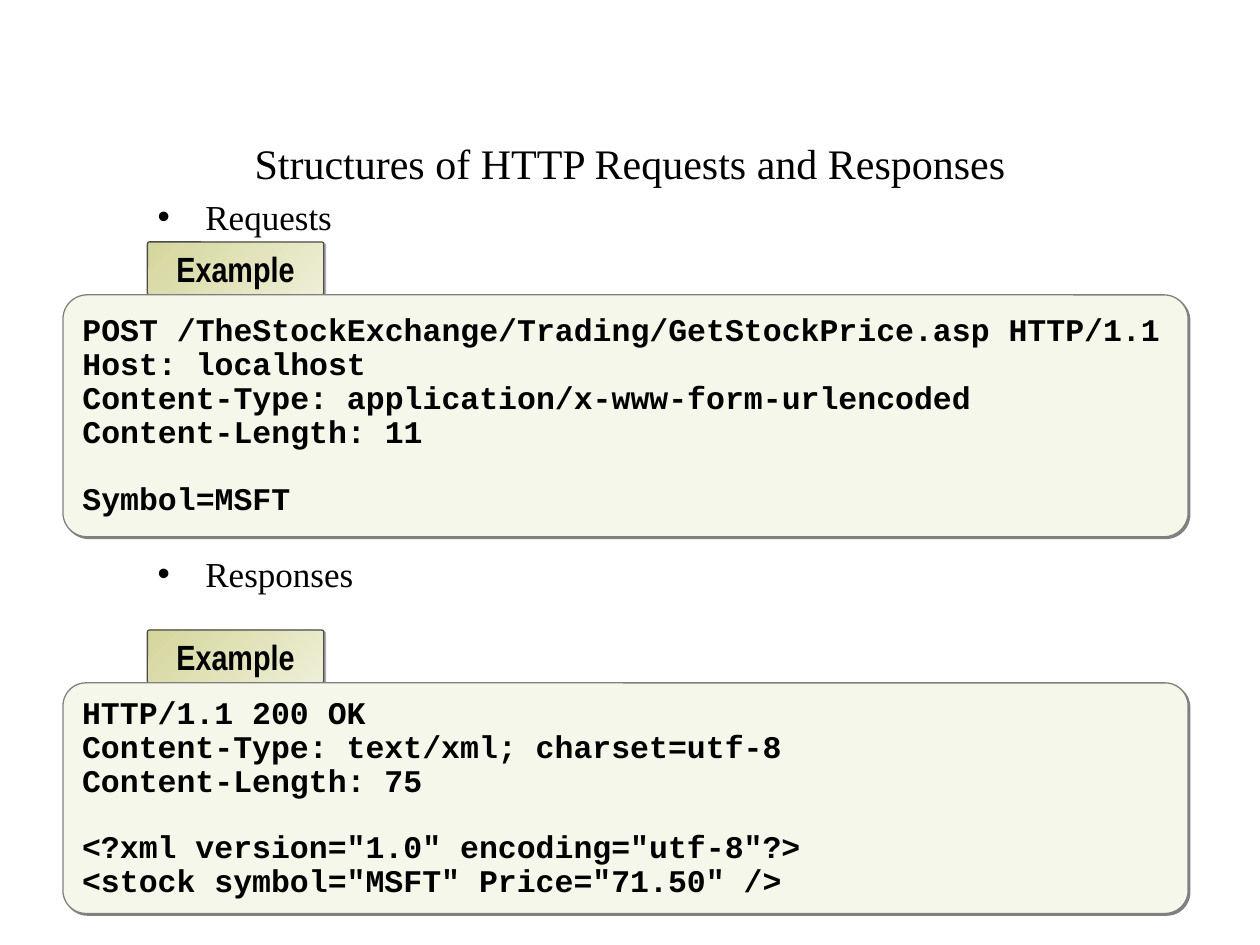
from lxml.etree import SubElement
from pptx import Presentation
from pptx.dml.color import RGBColor
from pptx.enum.shapes import MSO_SHAPE
from pptx.enum.text import MSO_ANCHOR, MSO_AUTO_SIZE, PP_ALIGN
from pptx.oxml.ns import qn
from pptx.util import Inches, Pt

COLORS = {
    "text": "000000",
    "tab_light": "EEEFD7",
    "tab_dark": "D5D69C",
    "tab_line": "4D4D4D",
    "tab_shadow": "AFAFAF",
    "code_fill": "F6F7EB",
    "code_line": "808080",
}
SERIF, NARROW, MONO = "Times New Roman", "Arial Narrow", "Courier New"
CODE_LINE_GAP = Pt(18.4)
TAB_HEIGHT = 0.42

REQUEST = (
    [
        "POST /TheStockExchange/Trading/GetStockPrice.asp HTTP/1.1",
        "Host: localhost",
        "Content-Type: application/x-www-form-urlencoded",
        "Content-Length: 11",
    ],
    ["Symbol=MSFT"],
)
RESPONSE = (
    [
        "HTTP/1.1 200 OK",
        "Content-Type: text/xml; charset=utf-8",
        "Content-Length: 75",
    ],
    [
        '<?xml version="1.0" encoding="utf-8"?>',
        '<stock symbol="MSFT" Price="71.50" />',
    ],
)


def color(name):
    return RGBColor.from_string(COLORS[name])


def place(part, left, top, width, height):
    part.left, part.top = Inches(left), Inches(top)
    part.width, part.height = Inches(width), Inches(height)


def add_run(paragraph, text, size, font, bold=False):
    run = paragraph.add_run()
    run.text = text
    run.font.size = Pt(size)
    run.font.name = font
    run.font.bold = bold
    run.font.color.rgb = color("text")


def next_paragraph(frame, index):
    return frame.add_paragraph() if index else frame.paragraphs[0]


def set_title(title, text):
    place(title, 0.75, 0.67, 8.5, 1.25)
    frame = title.text_frame
    frame.auto_size = MSO_AUTO_SIZE.NONE
    frame.vertical_anchor = MSO_ANCHOR.MIDDLE
    heading = frame.paragraphs[0]
    heading.alignment = PP_ALIGN.CENTER
    add_run(heading, text, 24, SERIF)


def set_topics(body, topics, gap):
    place(body, 1.15, 1.5, 7.87, 4.69)
    frame = body.text_frame
    frame.auto_size = MSO_AUTO_SIZE.NONE
    for index, topic in enumerate(topics):
        paragraph = next_paragraph(frame, index)
        properties = paragraph._p.get_or_add_pPr()
        properties.set("marL", str(Inches(0.38)))
        properties.set("indent", str(-Inches(0.38)))
        SubElement(properties, qn("a:buChar"), char="•")
        paragraph.space_before = gap if index else Pt(0)
        add_run(paragraph, topic, 20, SERIF)


def add_panel(slide, left, top, width, height, rounding, line, shadow):
    panel = slide.shapes.add_shape(
        MSO_SHAPE.ROUNDED_RECTANGLE,
        Inches(left), Inches(top), Inches(width), Inches(height),
    )
    panel.adjustments[0] = rounding
    panel.line.color.rgb = color(line)
    panel.line.width = Pt(0.75)
    panel.shadow.inherit = False
    effects = panel._element.spPr.find(qn("a:effectLst"))
    cast = SubElement(effects, qn("a:outerShdw"), dist=str(Pt(1.4)), dir="2700000")
    SubElement(cast, qn("a:srgbClr"), val=COLORS[shadow])
    panel.text_frame.word_wrap = True
    panel.text_frame.vertical_anchor = MSO_ANCHOR.MIDDLE
    return panel


def add_tab(slide, top, label):
    tab = add_panel(slide, 1.17, top, 1.4, TAB_HEIGHT, 0.04, "tab_line", "tab_shadow")
    tab.fill.gradient()
    tab.fill.gradient_angle = 135
    for stop, shade in zip(tab.fill.gradient_stops, ("tab_light", "tab_dark")):
        stop.color.rgb = color(shade)
    caption = tab.text_frame.paragraphs[0]
    caption.alignment = PP_ALIGN.CENTER
    add_run(caption, label, 20, NARROW, bold=True)


def add_code(slide, top, height, message):
    box = add_panel(slide, 0.5, top, 8.93, height, 0.1, "code_line", "code_line")
    box.fill.solid()
    box.fill.fore_color.rgb = color("code_fill")
    headers, content = message
    for index, code in enumerate(headers + content):
        paragraph = next_paragraph(box.text_frame, index)
        paragraph.alignment = PP_ALIGN.LEFT
        paragraph.line_spacing = 0.9
        if index == len(headers):
            paragraph.space_before = CODE_LINE_GAP
        add_run(paragraph, code, 18, MONO, bold=True)


def main():
    """Build the slide on HTTP requests and responses."""
    presentation = Presentation()
    presentation.slide_width, presentation.slide_height = Inches(10), Inches(7.5)
    slide = presentation.slides.add_slide(presentation.slide_layouts[1])
    set_title(slide.shapes.title, "Structures of HTTP Requests and Responses")
    set_topics(slide.placeholders[1], ["Requests", "Responses"], Pt(180))
    for top, height, message in ((1.92, 1.92, REQUEST), (5, 1.83, RESPONSE)):
        add_tab(slide, top, "Example")
        add_code(slide, top + TAB_HEIGHT, height, message)
    presentation.save("out.pptx")


if __name__ == "__main__":
    main()
